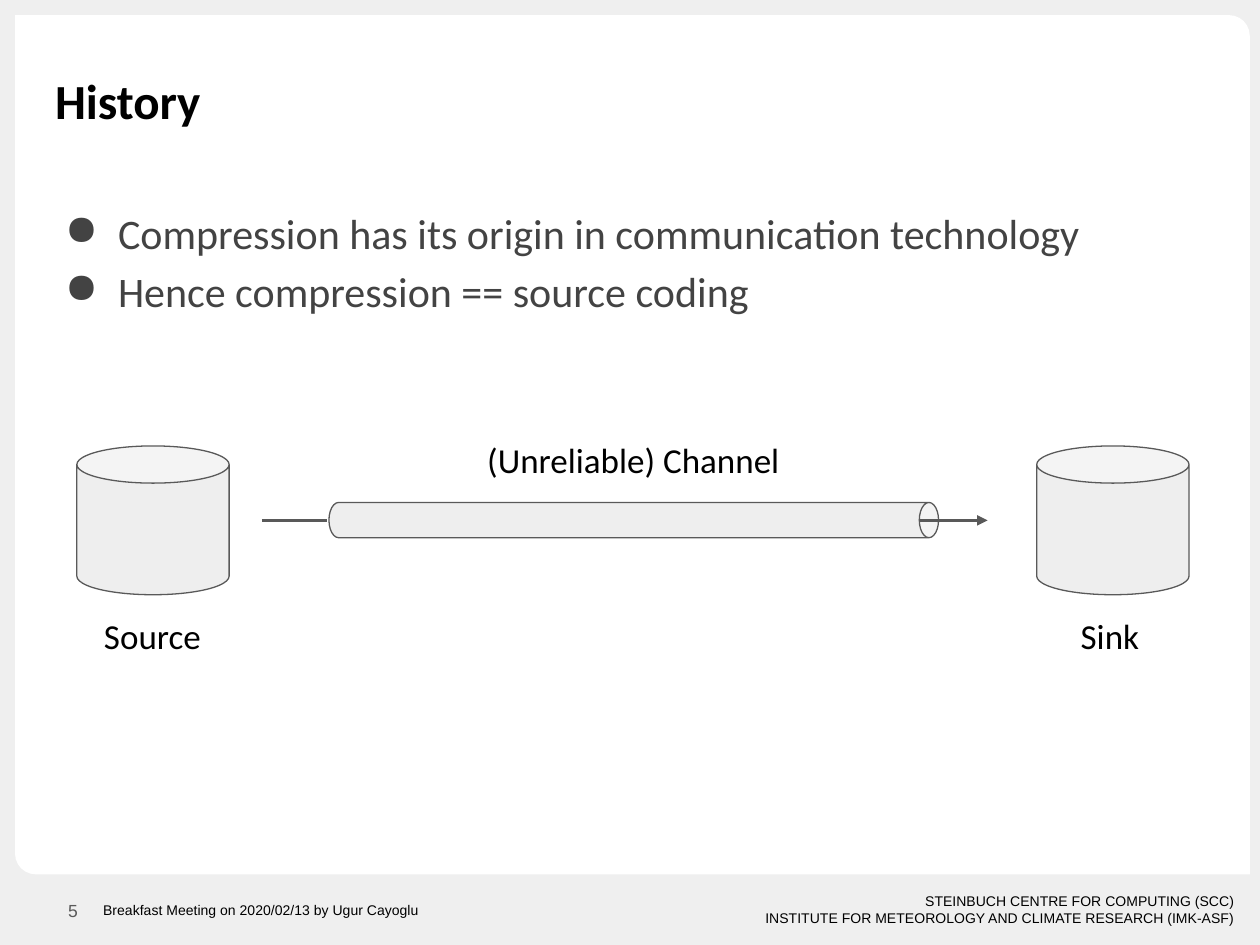
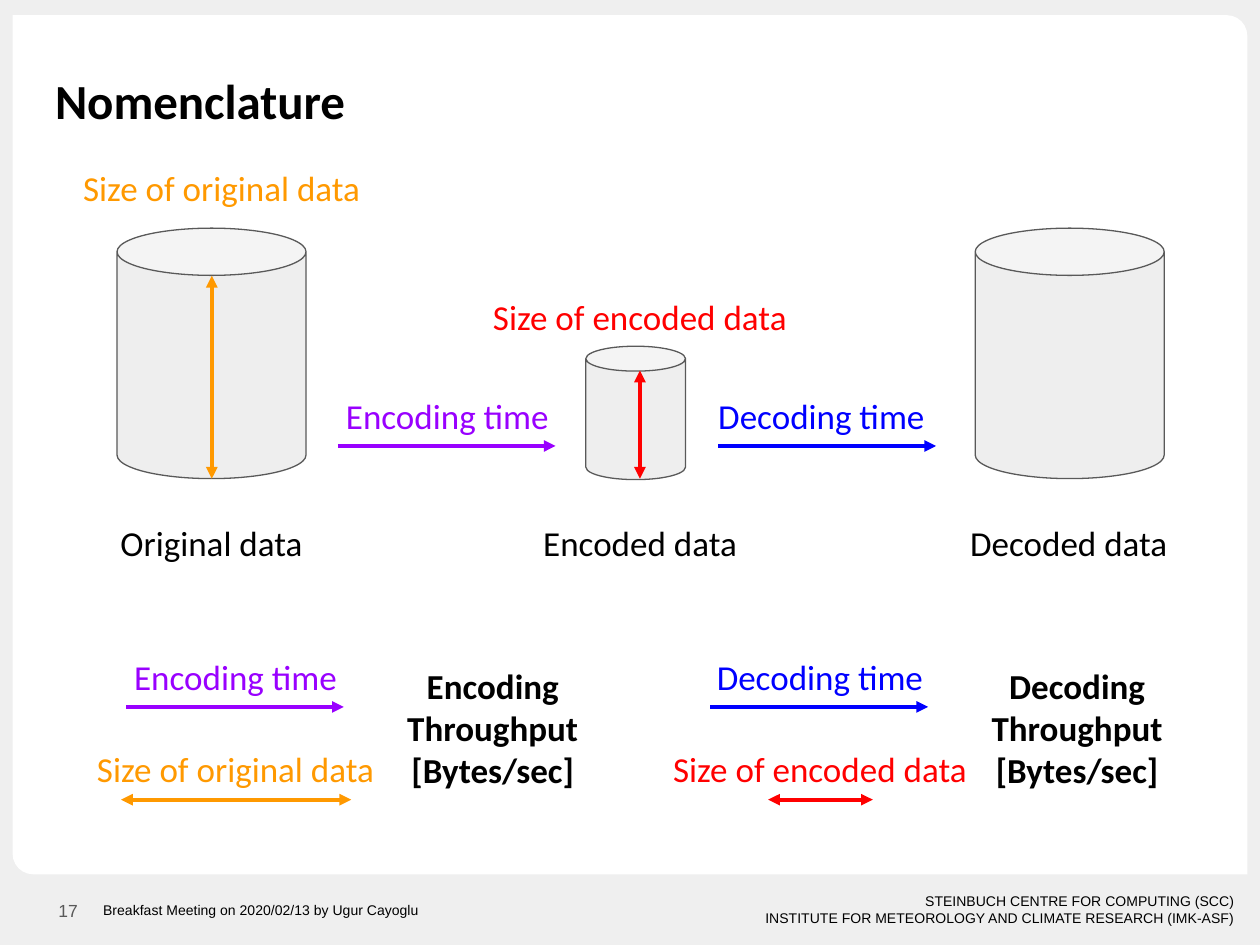
from copy import deepcopy

from lxml.etree import SubElement as Sub
from pptx import Presentation
from pptx.dml.color import RGBColor
from pptx.enum.shapes import MSO_CONNECTOR as Conn, MSO_SHAPE as Kind
from pptx.enum.text import MSO_ANCHOR as Anchor, PP_ALIGN as Align
from pptx.oxml.ns import qn
from pptx.util import Cm, Pt

# Shared colours and fonts
BACK, WHITE, BLACK = "EFEFEF", "FFFFFF", "000000"
BODY, EDGE, CAN = "434343", "595959", "EEEEEE"
PURPLE, BLUE, ORANGE, RED = "9900FF", "0000FF", "FF9900", "FF0000"
MAIN, SMALL = "Calibri", "Arial"

# Shared wording
EVENT = "Breakfast Meeting on 2020/02/13 by Ugur Cayoglu"
ORG = ("STEINBUCH CENTRE FOR COMPUTING (SCC)\n"
       "INSTITUTE FOR METEOROLOGY AND CLIMATE RESEARCH (IMK-ASF)")


def tint(code):
    return RGBColor.from_string(code)


def add_runs(para, text, size, color, font, bold):
    for num, line in enumerate(text.split("\n")):
        if num:
            para.add_line_break()
        run = para.add_run()
        run.text = line
        run.font.size = Pt(size)
        run.font.name = font
        run.font.bold = bold
        run.font.color.rgb = tint(color)
    # Line breaks take the size of the text around them
    for gap in para._p.findall(qn("a:br")):
        gap.append(deepcopy(run._r.rPr))


def add_dot(para, color):
    props = para._p.get_or_add_pPr()
    props.set("marL", str(Cm(1.27)))
    props.set("indent", str(-Cm(1.07)))
    fill = Sub(props, qn("a:buClr"))
    Sub(fill, qn("a:srgbClr"), val=color)
    Sub(props, qn("a:buChar"), char="●")


def add_text(slide, x, y, w, h, paras, size=20, color=BLACK, font=MAIN,
             bold=False, align=Align.CENTER, anchor=Anchor.MIDDLE, dots=False):
    frame = slide.shapes.add_textbox(Cm(x), Cm(y), Cm(w), Cm(h)).text_frame
    frame.word_wrap = True
    frame.vertical_anchor = anchor
    frame.margin_left = frame.margin_right = Cm(0.25)
    frame.margin_top = frame.margin_bottom = Cm(0.25)
    for num, text in enumerate(paras):
        para = frame.add_paragraph() if num else frame.paragraphs[0]
        para.alignment = align
        if dots:
            para.line_spacing = 1.15
            add_dot(para, color)
        add_runs(para, text, size, color, font, bold)


def add_form(slide, kind, x, y, w, h, adj, fill, edge=None, turn=0):
    form = slide.shapes.add_shape(kind, Cm(x), Cm(y), Cm(w), Cm(h))
    form.shadow.inherit = False
    form.adjustments[0] = adj
    form.rotation = turn
    form.fill.solid()
    form.fill.fore_color.rgb = tint(fill)
    if edge:
        form.line.color.rgb = tint(edge)
        form.line.width = Pt(0.75)
    else:
        form.line.fill.background()


def add_can(slide, x, y, w, h, adj=0.25, turn=0):
    add_form(slide, Kind.CAN, x, y, w, h, adj, CAN, EDGE, turn)


def add_line(slide, x1, y1, x2, y2, color, width=2.25, ends=("tailEnd",)):
    line = slide.shapes.add_connector(
        Conn.STRAIGHT, Cm(x1), Cm(y1), Cm(x2), Cm(y2))
    line.line.color.rgb = tint(color)
    line.line.width = Pt(width)
    stroke = line.line._get_or_add_ln()
    for end in ends:
        Sub(stroke, qn(f"a:{end}"), type="triangle")
    Sub(line._element.spPr, qn("a:effectLst"))


def add_span(slide, x1, y1, x2, y2, color):
    add_line(slide, x1, y1, x2, y2, color, ends=("headEnd", "tailEnd"))


def add_name(slide, x, y, text):
    add_text(slide, x, y, 5.23, 0.99, [text])


def add_tag(slide, x, y, text, color):
    add_text(slide, x, y, 6.5, 0.99, [text], color=color)


def add_flow(slide, x, y, tag_x, text, color):
    add_line(slide, x, y, x + 4.39, y, color)
    add_tag(slide, tag_x, y - 1.1, text, color)


def add_rate(slide, x, word, color, size, size_color, length):
    """Time over size, with the throughput they give."""
    add_flow(slide, x + 1.04, 14.25, x, f"{word} time", color)
    mid = x + 3.26
    add_span(slide, mid - length / 2, 16.12, mid + length / 2, 16.12,
             size_color)
    add_tag(slide, x, 15, size, size_color)
    add_text(slide, x + 5.82, 13.69, 5.23, 1.96,
             [f"{word}\nThroughput", "[Bytes/sec]"], bold=True)


def add_page(deck, title, page, left):
    slide = deck.slides.add_slide(deck.slide_layouts[6])
    slide.background.fill.solid()
    slide.background.fill.fore_color.rgb = tint(BACK)
    add_form(slide, Kind.ROUND_2_DIAG_RECTANGLE, left, -3.48, 17.32, 24.89,
             0.024, WHITE, turn=270)
    add_text(slide, 0.86, 1.37, 23.67, 1.3, [title], 28, bold=True,
             align=Align.LEFT)
    # Footer
    add_text(slide, 7.11, 17.63, 18.03, 1.42, [ORG], 8, font=SMALL,
             align=Align.RIGHT)
    add_text(slide, 0.3, 17.63, 1.52, 1.45, [str(page)], 10, EDGE, SMALL,
             align=Align.RIGHT)
    add_text(slide, 1.83, 17.63, 11.33, 1.42, [EVENT], 8, font=SMALL,
             align=Align.LEFT)
    return slide


def draw_past(deck):
    slide = add_page(deck, "History", 5, 4.09)
    add_text(slide, 0.86, 3.78, 23.09, 2.31,
             ["Compression has its origin in communication technology",
              "Hence compression == source coding"],
             24, BODY, align=Align.LEFT, anchor=Anchor.TOP, dots=True)
    # Channel between source and sink
    add_can(slide, 12.42, 4.34, 0.71, 12.29, 0.547, 90)
    for can_x, name_x, name in ((1.55, 0.46, "Source"),
                                (20.9, 19.76, "Sink")):
        add_can(slide, can_x, 8.99, 3.07, 3)
        add_name(slide, name_x, 12.32, name)
    add_text(slide, 8.59, 8.76, 8.36, 0.99, ["(Unreliable) Channel"])
    add_line(slide, 5.28, 10.49, 6.6, 10.49, EDGE, 1.5, ())
    add_line(slide, 18.52, 10.49, 19.91, 10.49, EDGE, 1.5)


def draw_terms(deck):
    slide = add_page(deck, "Nomenclature", 17, 4.04)
    full, coded = "Size of original data", "Size of encoded data"
    # Data before, between and after
    add_can(slide, 2.36, 4.6, 3.81, 5.05)
    add_can(slide, 11.81, 6.98, 2.01, 2.69)
    add_can(slide, 19.66, 4.6, 3.81, 5.05)
    for num, word in enumerate(("Original", "Encoded", "Decoded")):
        add_name(slide, 1.65 + 8.64 * num, 10.44, f"{word} data")
    # Times
    add_flow(slide, 6.81, 8.99, 5.77, "Encoding time", PURPLE)
    add_flow(slide, 14.48, 8.99, 13.31, "Decoding time", BLUE)
    # Sizes
    add_span(slide, 4.27, 5.56, 4.27, 9.65, ORANGE)
    add_tag(slide, 1.22, 3.28, full, ORANGE)
    add_span(slide, 12.9, 7.47, 12.9, 9.65, RED)
    add_tag(slide, 9.65, 5.89, coded, RED)
    # Throughputs
    add_rate(slide, 1.5, "Encoding", PURPLE, full, ORANGE, 4.64)
    add_rate(slide, 13.28, "Decoding", BLUE, coded, RED, 2.11)


def main():
    deck = Presentation()
    deck.slide_width, deck.slide_height = Cm(25.4), Cm(19.05)
    draw_past(deck)
    draw_terms(deck)
    deck.save("out.pptx")


if __name__ == "__main__":
    main()
